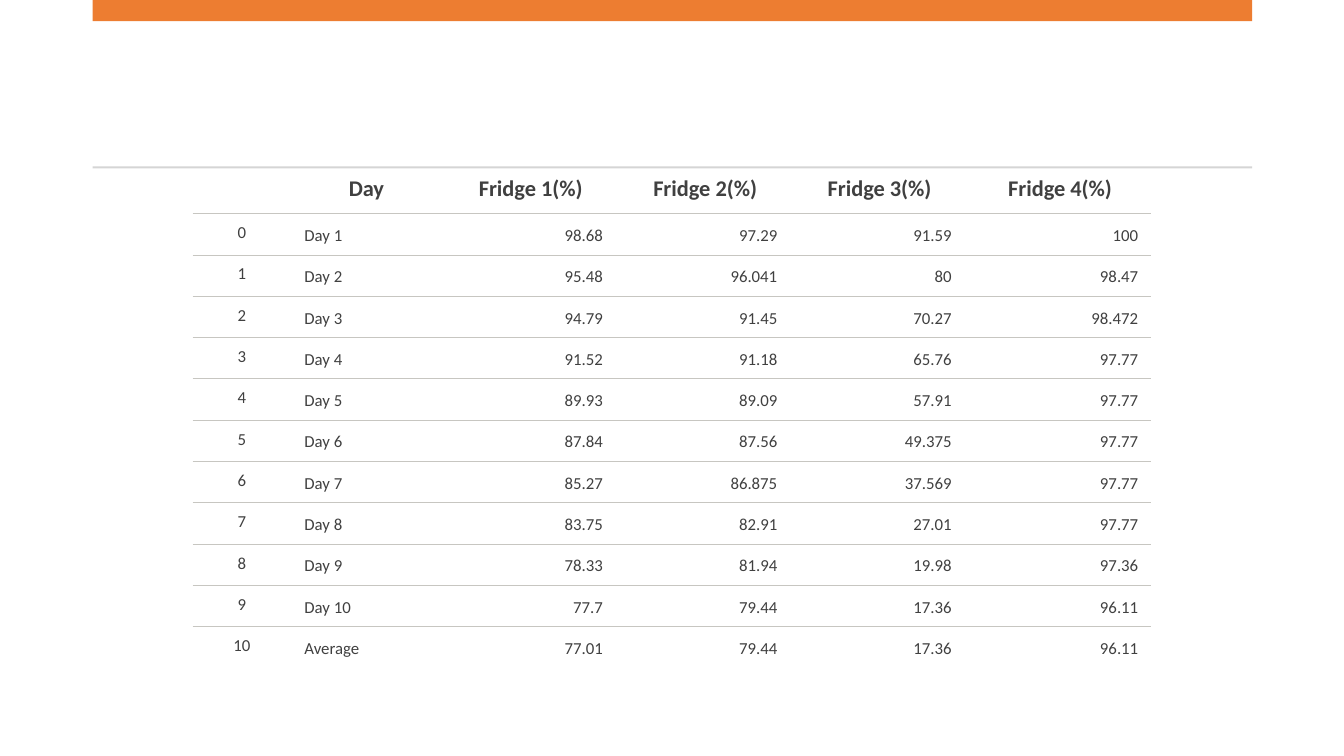
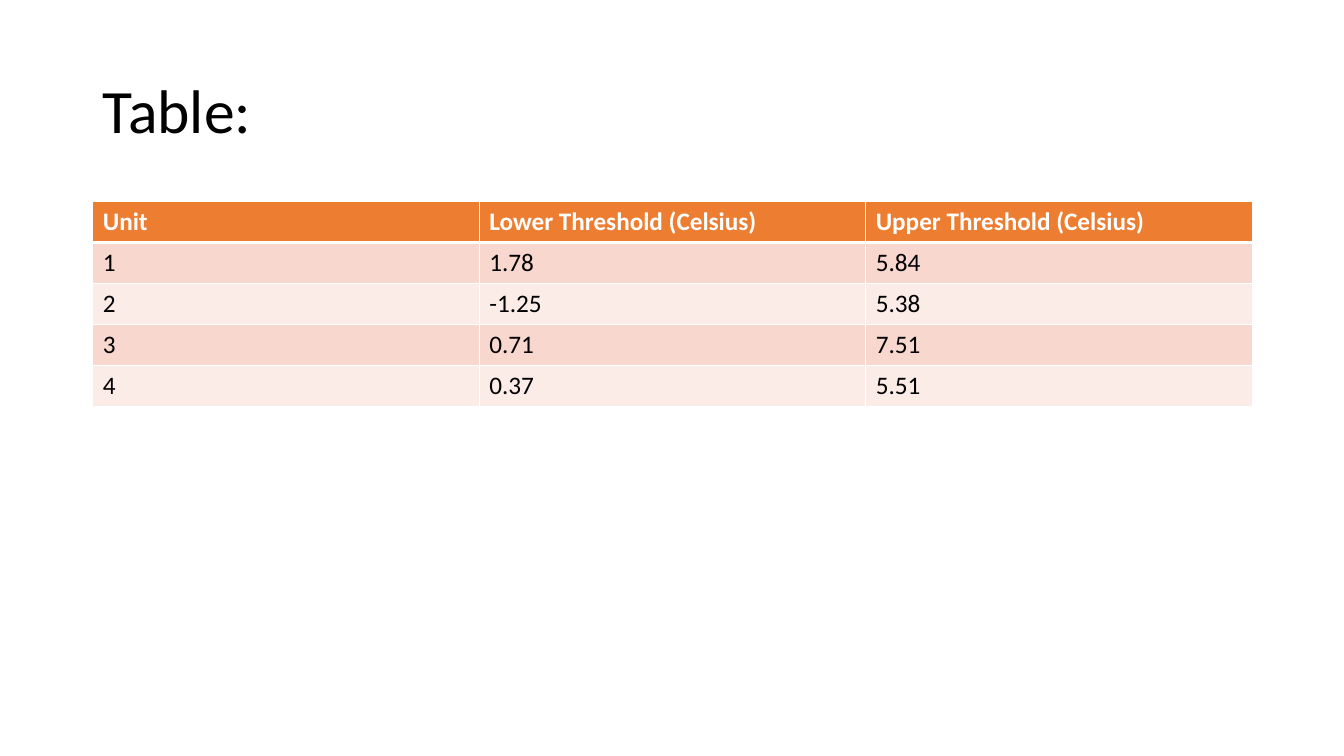
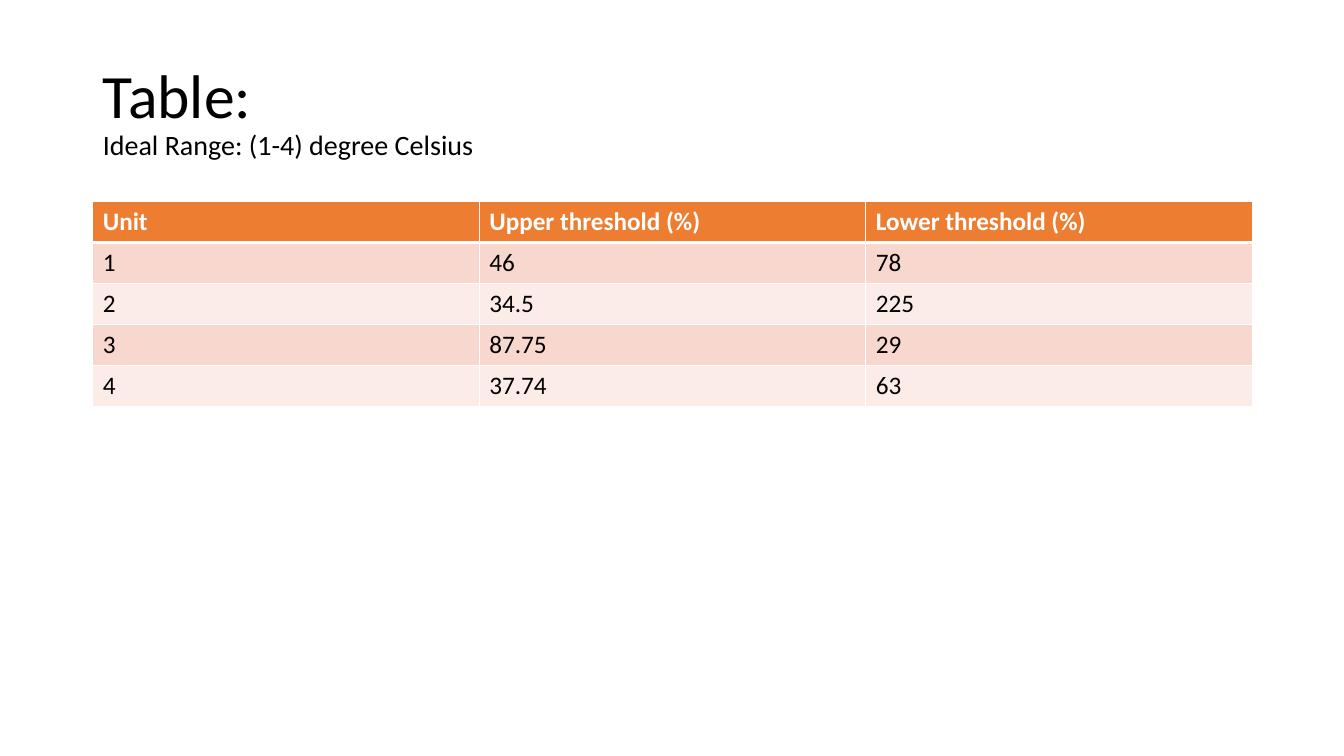
from lxml import etree
from pptx import Presentation
from pptx.dml.color import RGBColor
from pptx.enum.shapes import MSO_SHAPE
from pptx.enum.text import MSO_ANCHOR, MSO_AUTO_SIZE, PP_ALIGN
from pptx.oxml.ns import qn
from pptx.util import Inches, Pt

RECT = MSO_SHAPE.RECTANGLE
TOP, MIDDLE, BOTTOM = MSO_ANCHOR.TOP, MSO_ANCHOR.MIDDLE, MSO_ANCHOR.BOTTOM
LEFT, CENTER, RIGHT = PP_ALIGN.LEFT, PP_ALIGN.CENTER, PP_ALIGN.RIGHT
NO_AUTOFIT = MSO_AUTO_SIZE.NONE
TITLE_ONLY, BLANK = 5, 6

FONT = "Calibri"
ORANGE, WHITE, BLACK = "ED7D31", "FFFFFF", "000000"
DARK_GREY, RULE_GREY, LINE_GREY = "404040", "D5D5D5", "C7C6C1"
BANDS = ("F8D7CE", "FCECE8")
MARGIN, CONTENT_WIDTH = 0.92, 11.5

HUMIDITY_HEADER = ("", "Day", "Fridge 1(%)", "Fridge 2(%)", "Fridge 3(%)", "Fridge 4(%)")
HUMIDITY = [
    ("Day 1", "98.68", "97.29", "91.59", "100"),
    ("Day 2", "95.48", "96.041", "80", "98.47"),
    ("Day 3", "94.79", "91.45", "70.27", "98.472"),
    ("Day 4", "91.52", "91.18", "65.76", "97.77"),
    ("Day 5", "89.93", "89.09", "57.91", "97.77"),
    ("Day 6", "87.84", "87.56", "49.375", "97.77"),
    ("Day 7", "85.27", "86.875", "37.569", "97.77"),
    ("Day 8", "83.75", "82.91", "27.01", "97.77"),
    ("Day 9", "78.33", "81.94", "19.98", "97.36"),
    ("Day 10", "77.7", "79.44", "17.36", "96.11"),
    ("Average", "77.01", "79.44", "17.36", "96.11"),
]
HUMIDITY_COLUMNS = (0.94, 1.53, 1.73, 1.73, 1.73, 1.85)

# Each threshold slide: title lines, then the table rows
THRESHOLDS = [
    (["Table:"], [
        ("Unit", "Lower Threshold (Celsius)", "Upper Threshold (Celsius)"),
        ("1", "1.78", "5.84"),
        ("2", "-1.25", "5.38"),
        ("3", "0.71", "7.51"),
        ("4", "0.37", "5.51"),
    ]),
    (["Table:", "Ideal Range: (1-4) degree Celsius"], [
        ("Unit", "Upper threshold (%)", "Lower threshold (%)"),
        ("1", "46", "78"),
        ("2", "34.5", "225"),
        ("3", "87.75", "29"),
        ("4", "37.74", "63"),
    ]),
]
TITLE_SIZES = (44, 20)


def rgb(color):
    """Turn a hex string into a colour."""
    return RGBColor.from_string(color)


def style_run(run, size, color, bold=False):
    """Set the font of one run."""
    run.font.name = FONT
    run.font.size = Pt(size)
    run.font.bold = bold
    run.font.color.rgb = rgb(color)


def add_bar(slide, top, height, color):
    """Draw a filled bar across the content width."""
    bar = slide.shapes.add_shape(RECT, Inches(MARGIN), Inches(top),
                                 Inches(CONTENT_WIDTH), Inches(height))
    bar.shadow.inherit = False
    bar.fill.solid()
    bar.fill.fore_color.rgb = rgb(color)
    bar.line.fill.background()


def set_borders(cell, color, **widths):
    """Line the named sides (L, R, T, B) in points and clear the others."""
    properties = cell._tc.get_or_add_tcPr()
    for side in "LRTB":
        width = widths.get(side, 0)
        line = etree.SubElement(properties, qn(f"a:ln{side}"), w=str(Pt(width)))
        if width:
            fill = etree.SubElement(line, qn("a:solidFill"))
            etree.SubElement(fill, qn("a:srgbClr"), val=color)
        else:
            etree.SubElement(line, qn("a:noFill"))


def add_grid(slide, rows, left, top, columns, heights):
    """Add a table with the given column widths and row heights."""
    table = slide.shapes.add_table(
        len(rows), len(columns), Inches(left), Inches(top),
        Inches(sum(columns)), Inches(sum(heights))).table
    for column, width in zip(table.columns, columns):
        column.width = Inches(width)
    for row, height in zip(table.rows, heights):
        row.height = Inches(height)
    for r, values in enumerate(rows):
        for c, value in enumerate(values):
            table.cell(r, c).text = value
    return table


def add_humidity_slide(deck):
    """Build the daily readings with thin lines between the rows."""
    slide = deck.slides.add_slide(deck.slide_layouts[BLANK])
    add_bar(slide, 0, 0.21, ORANGE)
    add_bar(slide, 1.65, 0.02, RULE_GREY)
    rows = [HUMIDITY_HEADER]
    rows += [(str(i), *reading) for i, reading in enumerate(HUMIDITY)]
    table = add_grid(slide, rows, 1.91, 1.65, HUMIDITY_COLUMNS,
                     [0.47] + [0.41] * len(HUMIDITY))
    for r in range(len(rows)):
        header, last = r == 0, r == len(rows) - 1
        for c in range(len(HUMIDITY_COLUMNS)):
            cell = table.cell(r, c)
            set_borders(cell, LINE_GREY, T=0 if header else 0.75, B=0 if last else 0.75)
            cell.fill.background()
            if not cell.text_frame.text:
                continue
            cell.margin_left, cell.margin_right = Inches(0.17), Inches(0.13)
            cell.margin_top = cell.margin_bottom = Inches(0.09)
            centred = header or c == 0
            cell.vertical_anchor = TOP if centred else BOTTOM
            paragraph = cell.text_frame.paragraphs[0]
            paragraph.alignment = CENTER if centred else LEFT if c == 1 else RIGHT
            style_run(paragraph.runs[0], 16 if header else 12, DARK_GREY, header)


def set_title(slide, lines):
    """Place the title and size each of its lines."""
    title = slide.shapes.title
    title.left, title.top = Inches(MARGIN), Inches(0.4)
    title.width, title.height = Inches(CONTENT_WIDTH), Inches(1.45)
    frame = title.text_frame
    frame.text = "\v".join(lines)
    frame.vertical_anchor = MIDDLE
    frame.auto_size = NO_AUTOFIT
    paragraph = frame.paragraphs[0]
    paragraph.alignment = LEFT
    paragraph.line_spacing = 0.9
    for run, size in zip(paragraph.runs, TITLE_SIZES):
        style_run(run, size, BLACK)


def add_threshold_slide(deck, title_lines, rows):
    """Build a titled slide with a banded table."""
    slide = deck.slides.add_slide(deck.slide_layouts[TITLE_ONLY])
    set_title(slide, title_lines)
    count = len(rows[0])
    table = add_grid(slide, rows, MARGIN, 2, [CONTENT_WIDTH / count] * count,
                     [2.03 / len(rows)] * len(rows))
    for r in range(len(rows)):
        header = r == 0
        for c in range(count):
            cell = table.cell(r, c)
            set_borders(cell, WHITE, L=1, R=1, T=3 if r == 1 else 1, B=3 if header else 1)
            cell.fill.solid()
            cell.fill.fore_color.rgb = rgb(ORANGE if header else BANDS[(r - 1) % 2])
            style_run(cell.text_frame.paragraphs[0].runs[0], 18,
                      WHITE if header else BLACK, header)


def main():
    """Build and save the deck."""
    deck = Presentation()
    deck.slide_width, deck.slide_height = Inches(13.33), Inches(7.5)
    add_humidity_slide(deck)
    for title_lines, rows in THRESHOLDS:
        add_threshold_slide(deck, title_lines, rows)
    deck.save("out.pptx")


main()
